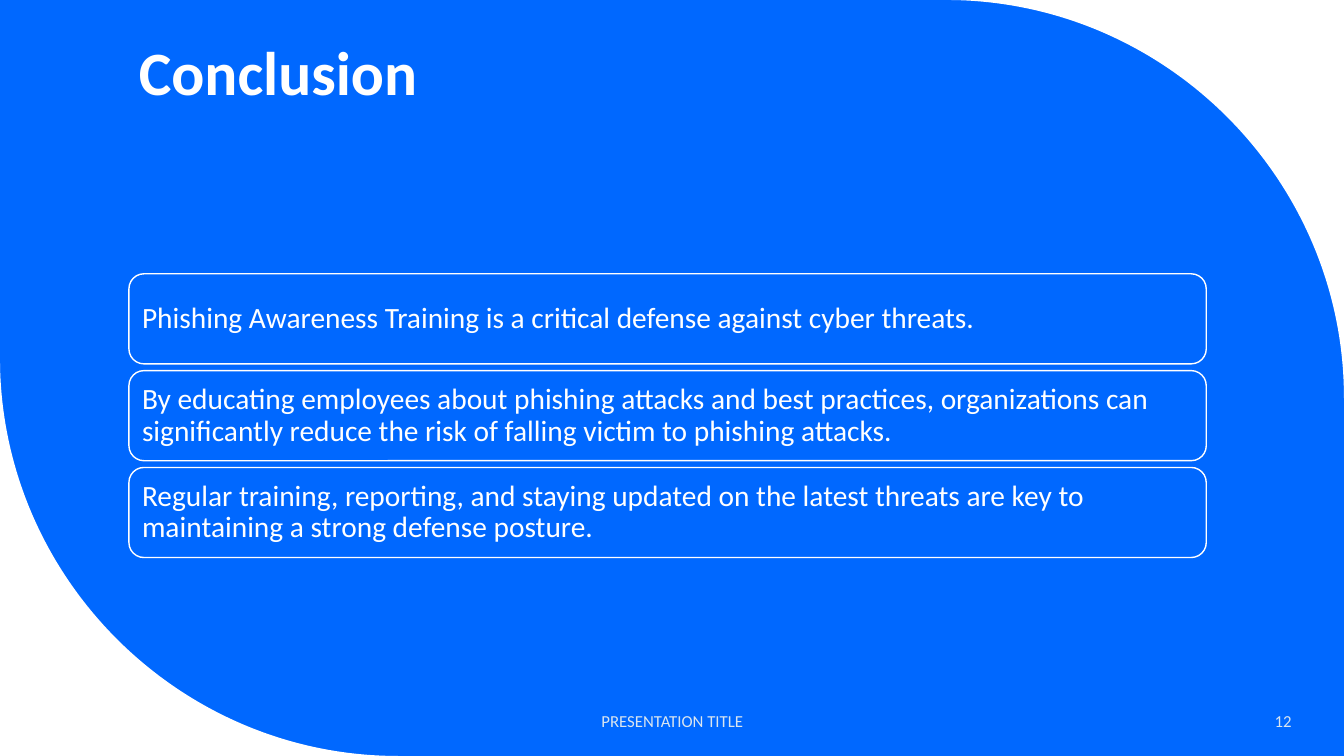
from dataclasses import dataclass

from lxml.etree import SubElement
from pptx import Presentation
from pptx.dml.color import RGBColor
from pptx.enum.shapes import MSO_SHAPE
from pptx.enum.text import MSO_ANCHOR, PP_ALIGN
from pptx.oxml.ns import qn
from pptx.util import Cm, Pt


@dataclass(frozen=True)
class Theme:
    font: str = "Calibri"
    blue: RGBColor = RGBColor(0x00, 0x68, 0xFF)
    white: RGBColor = RGBColor(0xFF, 0xFF, 0xFF)
    pale: RGBColor = RGBColor(0xDA, 0xE5, 0xEF)
    title_size: Pt = Pt(44)
    body_size: Pt = Pt(21)
    footer_size: Pt = Pt(12)


THEME = Theme()
SLIDE_WIDTH, SLIDE_HEIGHT = 33.87, 19.05
CORNER_RADIUS = 10.03
ARC_HANDLE = 0.55
CONTENT_LEFT, CONTENT_WIDTH = 3.25, 27.15
CARD_TOP, CARD_HEIGHT, CARD_PITCH = 6.9, 2.27, 2.44
FOOTER_TOP, FOOTER_HEIGHT = 17.65, 1.02

CONCLUSIONS = (
    "Phishing Awareness Training is a critical defense against cyber threats.",
    "By educating employees about phishing attacks and best practices, organizations can "
    "significantly reduce the risk of falling victim to phishing attacks.",
    "Regular training, reporting, and staying updated on the latest threats are key to "
    "maintaining a strong defense posture.",
)


def write_text(shape, text, size, color, bold=False, align=PP_ALIGN.LEFT,
               anchor=MSO_ANCHOR.MIDDLE, line_spacing=0.9):
    frame = shape.text_frame
    frame.word_wrap = True
    frame.vertical_anchor = anchor
    paragraph = frame.paragraphs[0]
    paragraph.alignment = align
    paragraph.line_spacing = line_spacing
    run = paragraph.add_run()
    run.text = text
    run.font.name = THEME.font
    run.font.size = size
    run.font.bold = bold
    run.font.color.rgb = color


def round_last_side(shape):
    """Turn the side opposite the first point of a triangle into a quarter circle."""
    tip, start, end = [
        (int(point.get("x")), int(point.get("y"))) for point in shape.element.iter(qn("a:pt"))
    ]
    side = list(shape.element.iter(qn("a:lnTo")))[-1]
    side.clear()
    side.tag = qn("a:cubicBezTo")
    handles = [
        tuple(round(a + ARC_HANDLE * (b - a)) for a, b in zip(point, tip))
        for point in (start, end)
    ]
    for x, y in (*handles, end):
        SubElement(side, qn("a:pt"), x=str(x), y=str(y))


def add_corner(slide, tip, start, end):
    """Fill the area between a slide corner and a quarter circle."""
    builder = slide.shapes.build_freeform(Cm(tip[0]), Cm(tip[1]))
    builder.add_line_segments([(Cm(x), Cm(y)) for x, y in (start, end)], close=True)
    shape = builder.convert_to_shape()
    round_last_side(shape)
    shape.shadow.inherit = False
    shape.fill.solid()
    shape.fill.fore_color.rgb = THEME.white
    shape.line.fill.background()


def add_title(slide, text):
    box = slide.shapes.add_textbox(Cm(CONTENT_LEFT), Cm(1.07), Cm(CONTENT_WIDTH), Cm(3.68))
    box.text_frame.margin_top = Cm(0)
    write_text(box, text, THEME.title_size, THEME.white, bold=True, anchor=MSO_ANCHOR.TOP)


def add_card(slide, top, text):
    card = slide.shapes.add_shape(MSO_SHAPE.ROUNDED_RECTANGLE, Cm(CONTENT_LEFT), Cm(top),
                                  Cm(CONTENT_WIDTH), Cm(CARD_HEIGHT))
    card.shadow.inherit = False
    card.fill.solid()
    card.fill.fore_color.rgb = THEME.blue
    card.line.color.rgb = THEME.white
    card.line.width = Pt(1)
    frame = card.text_frame
    frame.margin_left = frame.margin_right = Cm(0.22)
    frame.margin_top = frame.margin_bottom = Cm(0.22)
    write_text(card, text, THEME.body_size, THEME.white)


def add_footer(slide, left, width, text, align):
    box = slide.shapes.add_textbox(Cm(left), Cm(FOOTER_TOP), Cm(width), Cm(FOOTER_HEIGHT))
    write_text(box, text, THEME.footer_size, THEME.pale, align=align, line_spacing=1.0)


def main():
    presentation = Presentation()
    presentation.slide_width = Cm(SLIDE_WIDTH)
    presentation.slide_height = Cm(SLIDE_HEIGHT)
    slide = presentation.slides.add_slide(presentation.slide_layouts[6])
    slide.background.fill.solid()
    slide.background.fill.fore_color.rgb = THEME.blue

    add_corner(slide, (SLIDE_WIDTH, 0), (SLIDE_WIDTH - CORNER_RADIUS, 0),
               (SLIDE_WIDTH, CORNER_RADIUS))
    add_corner(slide, (0, SLIDE_HEIGHT), (CORNER_RADIUS, SLIDE_HEIGHT),
               (0, SLIDE_HEIGHT - CORNER_RADIUS))
    add_title(slide, "Conclusion")
    for index, conclusion in enumerate(CONCLUSIONS):
        add_card(slide, CARD_TOP + index * CARD_PITCH, conclusion)
    add_footer(slide, 11.23, 11.43, "PRESENTATION TITLE", PP_ALIGN.CENTER)
    add_footer(slide, 28.2, 4.6, "12", PP_ALIGN.RIGHT)

    presentation.save("out.pptx")


if __name__ == "__main__":
    main()
